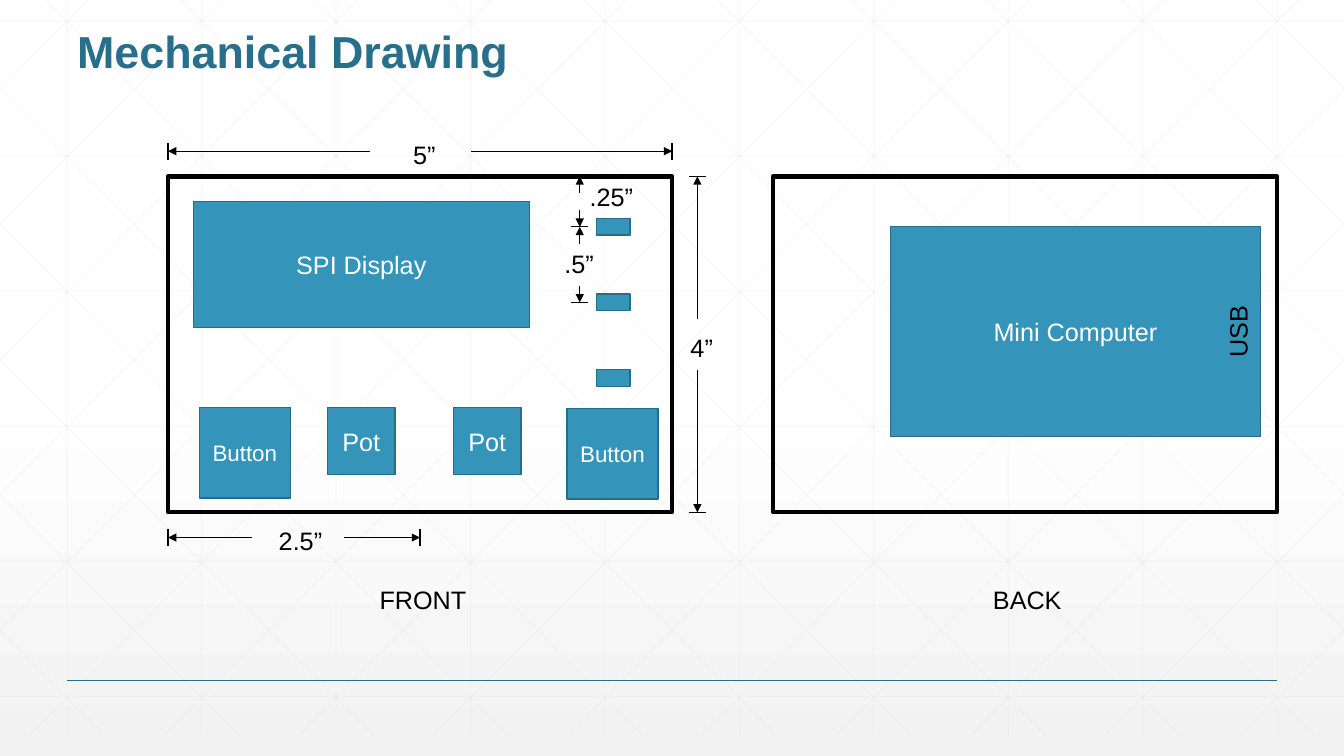
from copy import deepcopy

from lxml import etree
from pptx import Presentation
from pptx.dml.color import RGBColor
from pptx.enum.shapes import MSO_CONNECTOR, MSO_SHAPE
from pptx.enum.text import MSO_ANCHOR, MSO_AUTO_SIZE, PP_ALIGN
from pptx.oxml.ns import qn
from pptx.util import Inches, Pt

STRAIGHT = MSO_CONNECTOR.STRAIGHT
RECTANGLE = MSO_SHAPE.RECTANGLE
MIDDLE = MSO_ANCHOR.MIDDLE
CENTER = PP_ALIGN.CENTER
GROW = MSO_AUTO_SIZE.SHAPE_TO_FIT_TEXT

BLACK = RGBColor(0x00, 0x00, 0x00)
WHITE = RGBColor(0xFF, 0xFF, 0xFF)
PALE_GREY = RGBColor(0xF2, 0xF2, 0xF2)
GRID_GREY = RGBColor(0xD9, 0xD9, 0xD9)
TITLE_BLUE = RGBColor(0x27, 0x6F, 0x8B)
PART_BLUE = RGBColor(0x34, 0x94, 0xBA)
EDGE_BLUE = RGBColor(0x26, 0x6D, 0x8A)

# The slide is a grid of 160 columns by 90 rows
COLUMNS, ROWS = 160, 90
prs = Presentation()
prs.slide_width, prs.slide_height = Inches(13.33), Inches(7.5)
UNIT = prs.slide_height / ROWS
slide = prs.slides.add_slide(prs.slide_layouts[6])
shapes = slide.shapes


def draw_line(ends, color=BLACK, width=1, opacity=None, arrow=False):
    line = shapes.add_connector(STRAIGHT, *(round(v * UNIT) for v in ends))
    line.line.color.rgb = color
    line.line.width = Pt(width)
    properties = line.line._get_or_add_ln()
    if opacity:
        tint = properties.find(".//" + qn("a:srgbClr"))
        etree.SubElement(tint, qn("a:alpha"), val=str(opacity * 1000))
    if arrow:
        etree.SubElement(properties, qn("a:headEnd"), type="triangle")
    etree.SubElement(line._element.spPr, qn("a:effectLst"))


def write(shape, words, size, color, bold=False):
    paragraph = shape.text_frame.paragraphs[0]
    run = paragraph.add_run()
    run.text = words
    run.font.name, run.font.size, run.font.bold = "Arial", Pt(size), bold
    run.font.color.rgb = color
    return paragraph


# Background: white fading to pale grey in the lower half
backdrop = slide.background.fill
backdrop.gradient()
backdrop.gradient_angle = 270
first, last = backdrop.gradient_stops
first.color.rgb, first.position = WHITE, 0
last.color.rgb, last.position = PALE_GREY, 1
middle = deepcopy(first._gs)
middle.set("pos", "53000")
first._gs.addnext(middle)

# Faint lattice: verticals, horizontals and mirrored diagonals
LATTICE_STEP, LATTICE_TOP, LATTICE_BOTTOM = 16, -2.5, 87.5
DIAGONAL_SLOPE = 89.4 / 90
lattice = [(x, 0, x, LATTICE_BOTTOM) for x in range(8, COLUMNS, LATTICE_STEP)]
for i in range(6):
    y = 2.5 + 16.08 * i
    lattice.append((0, y, COLUMNS, y))
for i in range(-5, 10):
    origin = 3 + LATTICE_STEP * i
    y1 = max(0, LATTICE_TOP - origin / DIAGONAL_SLOPE)
    y2 = min(LATTICE_BOTTOM, LATTICE_TOP + (COLUMNS - origin) / DIAGONAL_SLOPE)
    x1, x2 = (origin + DIAGONAL_SLOPE * (y - LATTICE_TOP) for y in (y1, y2))
    lattice += [(x1, y1, x2, y2), (COLUMNS - x1, y1, COLUMNS - x2, y2)]
for ends in lattice:
    draw_line(ends, GRID_GREY, 0.5, opacity=25)

# Title and footer rule
draw_line((8, 81, 152, 81), TITLE_BLUE)
title = shapes.add_textbox(*(round(v * UNIT) for v in (8, 3, 144, 12)))
title.text_frame.word_wrap = True
write(title, "Mechanical Drawing", 32, TITLE_BLUE, bold=True).line_spacing = 0.9

# Enclosure outlines, front and back
for left in (20, 92):
    panel = shapes.add_shape(RECTANGLE, *(round(v * UNIT) for v in (left, 21, 60, 40)))
    panel.shadow.inherit = False
    panel.fill.background()
    panel.line.color.rgb = BLACK
    panel.line.width = Pt(3)

# Mounted parts: left, top, width, height, name, text size
parts = [
    (23, 24, 40, 15, "SPI Display", 18),
    (106, 27, 44, 25, "Mini Computer", 18),
    (23.75, 48.5, 10.8, 10.8, "Button", 16),
    (39, 48.5, 8, 8, "Pot", 18),
    (54, 48.5, 8, 8, "Pot", 18),
    (67.5, 48.6, 10.8, 10.8, "Button", 16),
]
parts += [(71, 26 + 9 * i, 4, 2, "", 18) for i in range(3)]
for *frame, name, size in parts:
    part = shapes.add_shape(RECTANGLE, *(round(v * UNIT) for v in frame))
    part.shadow.inherit = False
    part.fill.solid()
    part.fill.fore_color.rgb = PART_BLUE
    part.line.color.rgb = EDGE_BLUE
    part.line.width = Pt(1)
    if name:
        part.text_frame.vertical_anchor = MIDDLE
        write(part, name, size, WHITE).alignment = CENTER

# Dimensions: horizontal?, row or column, start, gap start, gap end, end, end ticks
dimensions = [
    (True, 18, 20, 44, 56, 80, (20, 80)),
    (True, 64, 20, 30, 41, 50, (20, 50)),
    (False, 83, 21, 38, 44, 61, (21, 61)),
    (False, 69, 21, 23, 25, 27, ()),
    (False, 69, 27, 29, 34, 36, (27, 36)),
]
for horizontal, across, start, gap_start, gap_end, end, ticks in dimensions:
    for outer, inner in ((start, gap_start), (end, gap_end)):
        ends = (outer, across, inner, across) if horizontal else (across, outer, across, inner)
        draw_line(ends, arrow=True)
    for tick in ticks:
        low, high = across - 1, across + 1
        draw_line((tick, low, tick, high) if horizontal else (low, tick, high, tick))

# Labels: left, top, width, words, rotation
labels = [
    (48, 16, 5.2, "5”", 0),
    (81, 39, 5.2, "4”", 0),
    (32, 62, 7.7, "2.5”", 0),
    (69, 21, 7.7, ".25”", 0),
    (66, 29, 6, ".5”", 0),
    (44, 69, 12.8, "FRONT", 0),
    (117, 69, 10.7, "BACK", 0),
    (143, 37, 8.6, "USB", 270),
]
for left, top, width, words, rotation in labels:
    label = shapes.add_textbox(*(round(v * UNIT) for v in (left, top, width, 4.8)))
    label.rotation = rotation
    label.text_frame.word_wrap = False
    label.text_frame.auto_size = GROW
    write(label, words, 18, BLACK)

prs.save("out.pptx")
